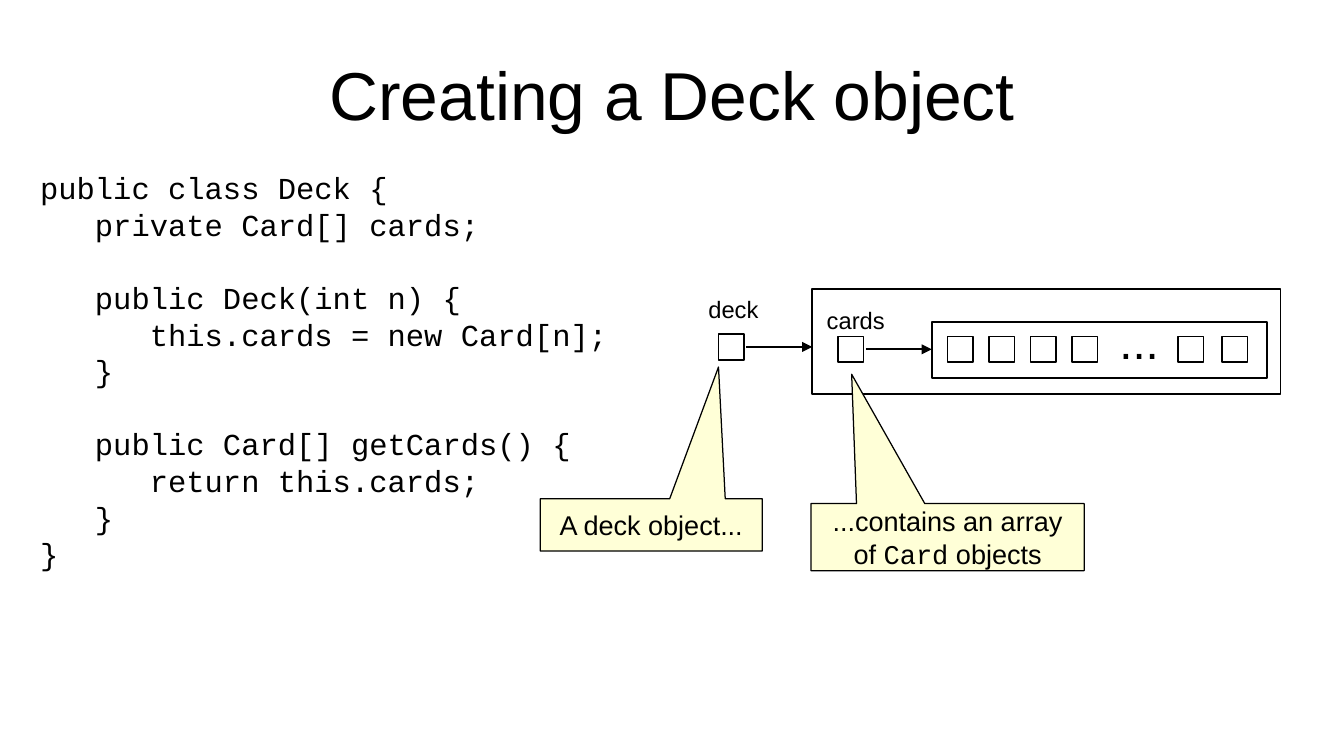
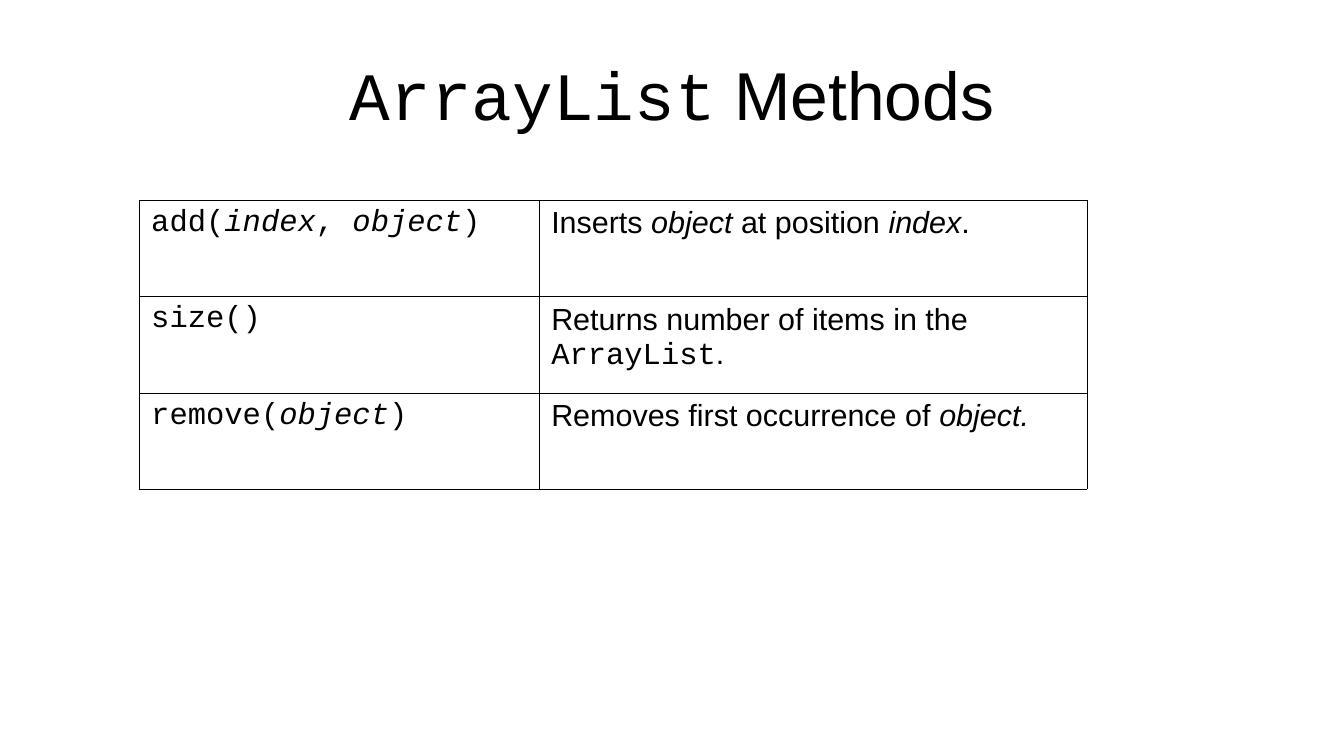
from dataclasses import dataclass

from lxml import etree
from pptx import Presentation
from pptx.dml.color import RGBColor
from pptx.enum.shapes import MSO_CONNECTOR, MSO_SHAPE
from pptx.enum.text import MSO_ANCHOR, MSO_AUTO_SIZE, PP_ALIGN
from pptx.oxml.ns import qn
from pptx.util import Inches, Pt

RECT, CALLOUT = MSO_SHAPE.RECTANGLE, MSO_SHAPE.RECTANGULAR_CALLOUT
STRAIGHT = MSO_CONNECTOR.STRAIGHT
LEFT, CENTER = PP_ALIGN.LEFT, PP_ALIGN.CENTER
TOP, MIDDLE = MSO_ANCHOR.TOP, MSO_ANCHOR.MIDDLE
NO_AUTOFIT = MSO_AUTO_SIZE.NONE


@dataclass(frozen=True)
class Theme:
    ink: str = "000000"
    paper: str = "FFFFFF"
    note: str = "FFFFD7"
    sans: str = "Arial"
    mono: str = "Courier New"
    title: int = 40
    dots: int = 28
    body: int = 18
    callout: int = 16
    label: int = 14
    code_leading: float = 21.6
    outline: float = 1
    hairline: float = 0
    border: float = 0.06


THEME = Theme()
SLIDE_W, SLIDE_H = 11.02, 6.2
MARGIN = 0.55
TITLE_BOX = (MARGIN, 0.25, SLIDE_W - 2 * MARGIN, 1.04)
INSETS = (0.1, 0.05, 0.1, 0.05)

# Text is a list of paragraphs, each a list of (text, style) runs;
# a style is any mix of "m" (monospaced) and "i" (italic).
DECK_TITLE = [[("Creating a Deck object", "")]]
METHODS_TITLE = [[("ArrayList", "m"), (" Methods", "")]]

# (indent level, blank lines above, code)
DECK_CODE = [
    (0, 0, "public class Deck {"),
    (1, 0, "private Card[] cards;"),
    (1, 1, "public Deck(int n) {"),
    (2, 0, "this.cards = new Card[n];"),
    (1, 0, "}"),
    (1, 1, "public Card[] getCards() {"),
    (2, 0, "return this.cards;"),
    (1, 0, "}"),
    (0, 0, "}"),
]
CODE_BOX = (0.23, 1.34, 4.85, 3.5)
CODE_INDENT = 3 * 0.6 * THEME.body  # three monospaced characters, in points

DECK_OBJECT = (6.66, 2.37, 3.84, 0.86)
CARD_ARRAY = (7.64, 2.64, 2.75, 0.46)
SLOT = 0.21
DECK_SLOT, CARDS_SLOT = (5.89, 2.74), (6.87, 2.76)
CARD_RUNS = [(7.77, 4, 0.34), (9.66, 2, 0.36)]  # first left, count, pitch
ARROW_GAP = 0.02
LABELS = [
    ("deck", (5.71, 2.37, 0.61, 0.32), THEME.label),
    ("cards", (6.68, 2.46, 0.68, 0.32), THEME.label),
    ("...", (9.08, 2.51, 0.52, 0.53), THEME.dots),
]
CALLOUTS = [
    ((4.43, 4.09, 1.82, 0.43), (0.303, -3.012), [[("A deck object...", "")]]),
    ((6.65, 4.13, 2.24, 0.55), (-0.351, -2.429),
     [[("...contains an array", "")],
      [("of ", ""), ("Card", "m"), (" objects", "")]]),
]

METHODS = [
    ([("add(", "m"), ("index", "mi"), (", ", "m"), ("object", "mi"), (")", "m")],
     [("Inserts ", ""), ("object", "i"), (" at position ", ""), ("index", "i"),
      (".", "")]),
    ([("size()", "m")],
     [("Returns number of items in the ", ""), ("ArrayList", "m"), (".", "")]),
    ([("remove(", "m"), ("object", "mi"), (")", "m")],
     [("Removes first occurrence of ", ""), ("object.", "i")]),
]
METHODS_AT = (1.14, 1.64)
METHOD_COLUMNS, METHOD_ROW = (3.28, 4.49), 0.79


def inches(lengths):
    return [Inches(length) for length in lengths]


def color(value):
    return RGBColor.from_string(value)


def write(frame, paragraphs, size=THEME.body, align=LEFT, anchor=TOP,
          wrap=True, insets=INSETS):
    frame.auto_size = NO_AUTOFIT
    frame.word_wrap = wrap
    frame.vertical_anchor = anchor
    (frame.margin_left, frame.margin_top,
     frame.margin_right, frame.margin_bottom) = inches(insets)
    for number, runs in enumerate(paragraphs):
        paragraph = frame.add_paragraph() if number else frame.paragraphs[0]
        paragraph.alignment = align
        for text, style in runs:
            run = paragraph.add_run()
            run.text = text
            run.font.name = THEME.mono if "m" in style else THEME.sans
            run.font.size = Pt(size)
            run.font.italic = "i" in style
            run.font.color.rgb = color(THEME.ink)


def add_titled_slide(deck, title):
    slide = deck.slides.add_slide(deck.slide_layouts[5])
    holder = slide.shapes.title
    holder.left, holder.top, holder.width, holder.height = inches(TITLE_BOX)
    write(holder.text_frame, title, size=THEME.title, align=CENTER,
          anchor=MIDDLE, insets=(0, 0, 0, 0))
    return slide


def add_box(slide, box, kind=RECT, fill=THEME.paper, line=THEME.outline):
    shape = slide.shapes.add_shape(kind, *inches(box))
    shape.shadow.inherit = False
    shape.fill.solid()
    shape.fill.fore_color.rgb = color(fill)
    shape.line.color.rgb = color(THEME.ink)
    shape.line.width = Pt(line)
    return shape


def add_reference(slide, slot, target_left):
    """Draw a variable's slot and the arrow to the object it refers to."""
    left, top = slot
    add_box(slide, (left, top, SLOT, SLOT))
    middle = top + SLOT / 2
    arrow = slide.shapes.add_connector(
        STRAIGHT, *inches((left + SLOT + ARROW_GAP, middle, target_left, middle)))
    arrow.line.color.rgb = color(THEME.ink)
    arrow.line.width = Pt(THEME.outline)
    properties = arrow.line._get_or_add_ln()
    etree.SubElement(properties, qn("a:tailEnd"), type="triangle")
    etree.SubElement(properties.getparent(), qn("a:effectLst"))


def add_code(slide):
    frame = slide.shapes.add_textbox(*inches(CODE_BOX)).text_frame
    write(frame, [[(code, "m")] for _, _, code in DECK_CODE])
    for paragraph, (level, gap, _) in zip(frame.paragraphs, DECK_CODE):
        paragraph.line_spacing = Pt(THEME.code_leading)
        paragraph.space_before = Pt(gap * THEME.code_leading)
        properties = paragraph._p.get_or_add_pPr()
        properties.set("marL", str(Pt(level * CODE_INDENT)))
        properties.set("indent", "0")


def add_memory_diagram(slide):
    add_box(slide, DECK_OBJECT)
    add_box(slide, CARD_ARRAY)
    for first, count, pitch in CARD_RUNS:
        for number in range(count):
            add_box(slide, (first + number * pitch, CARDS_SLOT[1], SLOT, SLOT))
    add_reference(slide, DECK_SLOT, DECK_OBJECT[0])
    add_reference(slide, CARDS_SLOT, CARD_ARRAY[0])
    for text, box, size in LABELS:
        label = slide.shapes.add_textbox(*inches(box))
        write(label.text_frame, [[(text, "")]], size=size, wrap=False)
    for box, tip, text in CALLOUTS:
        callout = add_box(slide, box, kind=CALLOUT, fill=THEME.note,
                          line=THEME.hairline)
        callout.adjustments[0], callout.adjustments[1] = tip
        write(callout.text_frame, text, size=THEME.callout, align=CENTER,
              anchor=MIDDLE, wrap=False)


def add_borders(cell):
    properties = cell._tc.get_or_add_tcPr()
    for side in "LRTB":
        border = etree.SubElement(properties, qn("a:ln" + side),
                                  w=str(Pt(THEME.border)))
        fill = etree.SubElement(border, qn("a:solidFill"))
        etree.SubElement(fill, qn("a:srgbClr"), val=THEME.ink)


def add_methods_table(slide):
    size = (sum(METHOD_COLUMNS), METHOD_ROW * len(METHODS))
    table = slide.shapes.add_table(len(METHODS), len(METHOD_COLUMNS),
                                   *inches(METHODS_AT + size)).table
    table.first_row = table.horz_banding = False
    for column, width in zip(table.columns, METHOD_COLUMNS):
        column.width = Inches(width)
    for row, method in zip(table.rows, METHODS):
        row.height = Inches(METHOD_ROW)
        for cell, runs in zip(row.cells, method):
            add_borders(cell)
            cell.fill.solid()
            cell.fill.fore_color.rgb = color(THEME.paper)
            cell.vertical_anchor = TOP
            (cell.margin_left, cell.margin_top,
             cell.margin_right, cell.margin_bottom) = inches(INSETS)
            write(cell.text_frame, [runs])


def main():
    deck = Presentation()
    deck.slide_width, deck.slide_height = inches((SLIDE_W, SLIDE_H))
    creating = add_titled_slide(deck, DECK_TITLE)
    add_code(creating)
    add_memory_diagram(creating)
    methods = add_titled_slide(deck, METHODS_TITLE)
    add_methods_table(methods)
    deck.save("out.pptx")


if __name__ == "__main__":
    main()
